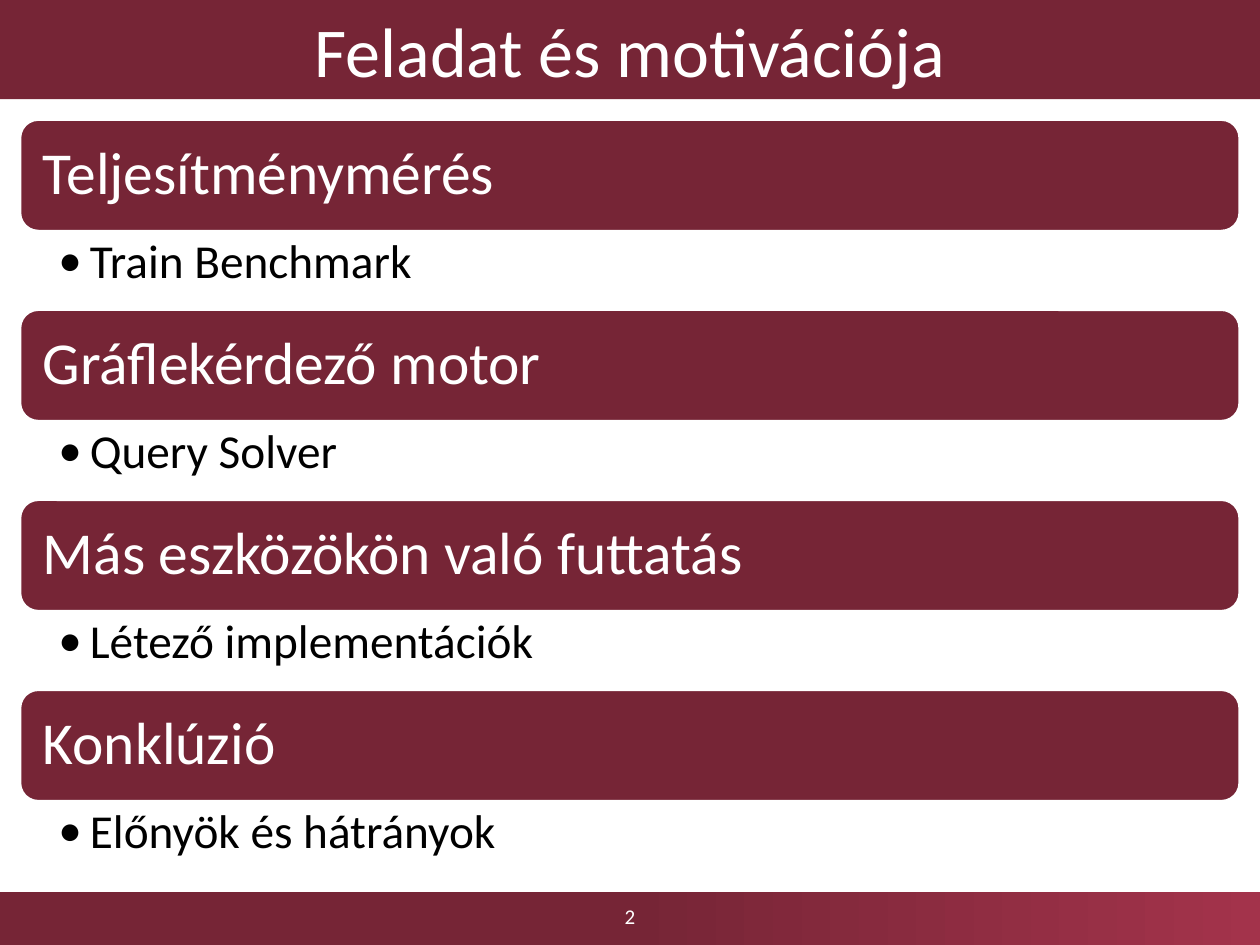
from dataclasses import dataclass

from lxml.etree import SubElement
from pptx import Presentation
from pptx.dml.color import RGBColor
from pptx.enum.shapes import MSO_SHAPE as Shape
from pptx.enum.text import MSO_ANCHOR as Anchor, PP_ALIGN as Align
from pptx.oxml.ns import qn
from pptx.util import Pt


@dataclass(frozen=True)
class Theme:
    font: str = "Calibri"
    maroon: RGBColor = RGBColor(0x76, 0x25, 0x36)
    crimson: RGBColor = RGBColor(0xA3, 0x33, 0x4B)
    white: RGBColor = RGBColor(0xFF, 0xFF, 0xFF)
    black: RGBColor = RGBColor(0, 0, 0)
    title_size: int = 40
    heading_size: int = 34
    bullet_size: int = 27
    number_size: int = 12


THEME = Theme()
SLIDE_W, SLIDE_H = 720, 540
TITLE_H = 56.7
FOOTER_TOP = 510
LIST_LEFT, LIST_TOP, LIST_W = 11.2, 68.1, 697.5
HEADING_H, BULLET_H = 64.2, 44.4

TOPICS = [
    ("Teljesítménymérés", "Train Benchmark"),
    ("Gráflekérdező motor", "Query Solver"),
    ("Más eszközökön való futtatás", "Létező implementációk"),
    ("Konklúzió", "Előnyök és hátrányok"),
]


def add_box(slide, kind, x, y, w, h):
    """Add a maroon shape without outline or shadow."""
    sp = slide.shapes.add_shape(kind, Pt(x), Pt(y), Pt(w), Pt(h))
    sp.shadow.inherit = False
    sp.fill.solid()
    sp.fill.fore_color.rgb = THEME.maroon
    sp.line.fill.background()
    return sp


def set_text(sp, text, size, color, align=Align.LEFT, anchor=Anchor.MIDDLE,
             margins=(7.2, 3.6, 7.2, 3.6)):
    """Fill a shape with one paragraph; margins are left, top, right, bottom."""
    tf = sp.text_frame
    tf.word_wrap = True
    tf.vertical_anchor = anchor
    (tf.margin_left, tf.margin_top,
     tf.margin_right, tf.margin_bottom) = map(Pt, margins)
    tf.text = text
    p = tf.paragraphs[0]
    p.alignment = align
    font = p.runs[0].font
    font.name, font.size, font.color.rgb = THEME.font, Pt(size), color
    return p


def add_title(slide, text):
    bar = add_box(slide, Shape.RECTANGLE, 0, 0, SLIDE_W, TITLE_H)
    set_text(bar, text, THEME.title_size, THEME.white, Align.CENTER)


def add_footer(slide, number):
    bar = add_box(slide, Shape.RECTANGLE, 0, FOOTER_TOP,
                  SLIDE_W, SLIDE_H - FOOTER_TOP)
    bar.fill.gradient()
    bar.fill.gradient_angle = 0
    stops = ((0.5, THEME.maroon), (1, THEME.crimson))
    for stop, (position, color) in zip(bar.fill.gradient_stops, stops):
        stop.position, stop.color.rgb = position, color
    width = 162
    box = slide.shapes.add_textbox(Pt((SLIDE_W - width) / 2), Pt(FOOTER_TOP),
                                   Pt(width), Pt(27))
    set_text(box, number, THEME.number_size, THEME.white, Align.CENTER)


def add_heading(slide, y, text):
    bar = add_box(slide, Shape.ROUNDED_RECTANGLE,
                  LIST_LEFT, y, LIST_W, HEADING_H)
    bar.line.color.rgb = THEME.white
    bar.line.width = Pt(2)
    p = set_text(bar, text, THEME.heading_size, THEME.white,
                 margins=(10.2, 10, 10.2, 10))
    p.line_spacing = 0.9


def add_bullet(slide, y, text):
    box = slide.shapes.add_textbox(Pt(LIST_LEFT), Pt(y),
                                   Pt(LIST_W), Pt(BULLET_H))
    p = set_text(box, text, THEME.bullet_size, THEME.black,
                 anchor=Anchor.TOP, margins=(22.2, 3.6, 18.7, 3.6))
    p.line_spacing = 0.9
    pPr = p._p.get_or_add_pPr()
    pPr.set("marL", str(Pt(18)))
    pPr.set("indent", str(-Pt(18)))
    SubElement(pPr, qn("a:buFont")).set("typeface", THEME.font)
    SubElement(pPr, qn("a:buChar")).set("char", "•")


def main():
    prs = Presentation()
    prs.slide_width, prs.slide_height = Pt(SLIDE_W), Pt(SLIDE_H)
    slide = prs.slides.add_slide(prs.slide_layouts[6])
    add_footer(slide, "2")
    add_title(slide, "Feladat és motivációja")
    for i, (heading, bullet) in enumerate(TOPICS):
        y = LIST_TOP + i * (HEADING_H + BULLET_H)
        add_heading(slide, y, heading)
        add_bullet(slide, y + HEADING_H, bullet)
    prs.save("out.pptx")


if __name__ == "__main__":
    main()
